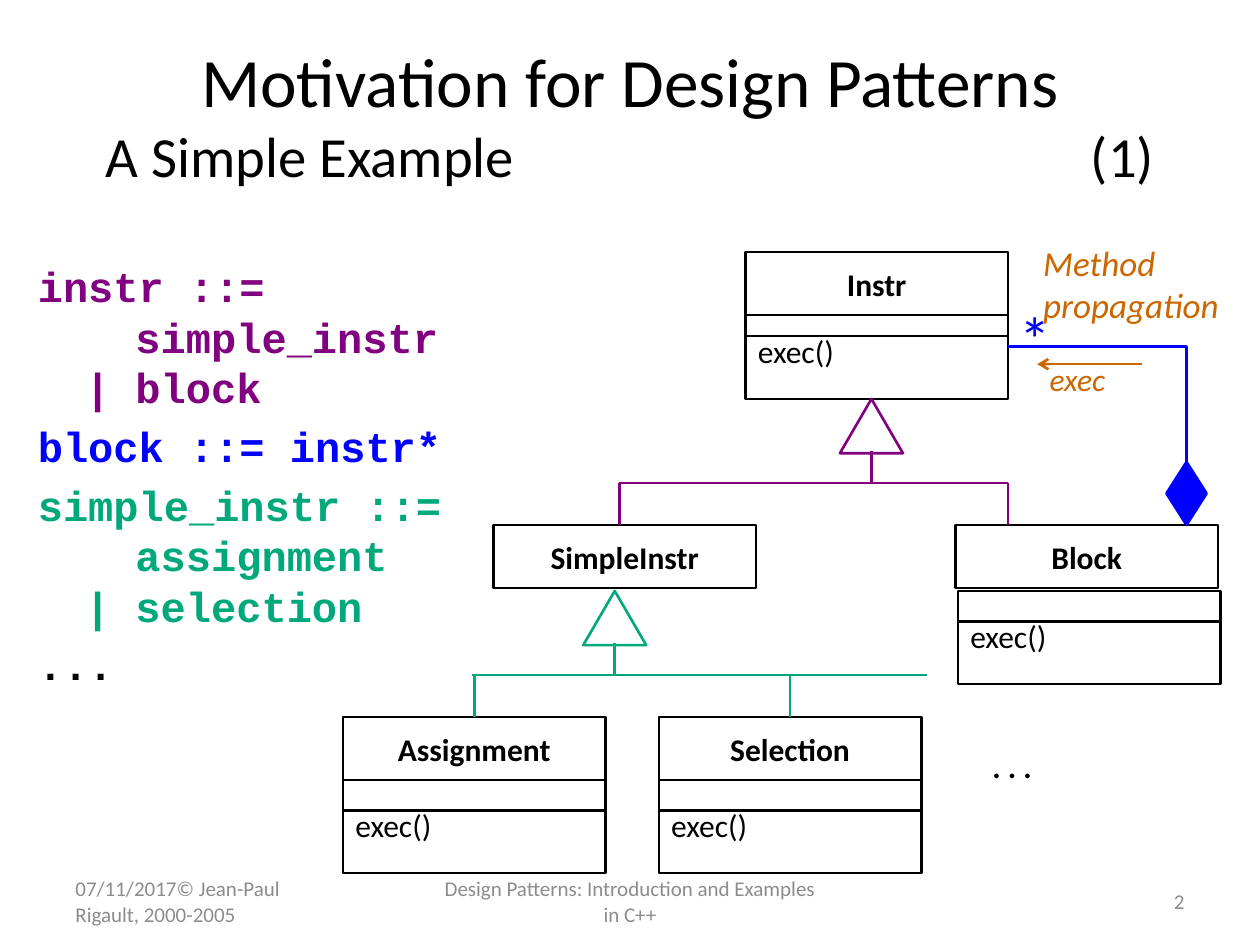
from copy import deepcopy
from dataclasses import dataclass

from pptx import Presentation
from pptx.dml.color import RGBColor as RGB
from pptx.enum.shapes import MSO_CONNECTOR as CONN, MSO_SHAPE as SHAPE
from pptx.enum.text import MSO_ANCHOR as ANCHOR, MSO_AUTO_SIZE as AUTO, PP_ALIGN as ALIGN
from pptx.oxml.ns import qn
from pptx.util import Pt


@dataclass(frozen=True)
class Theme:
    """Colours, fonts and type sizes of the slide."""
    ink: str = "000000"
    muted: str = "8C8C8C"
    rule: str = "800080"
    link: str = "0000FF"
    simple: str = "00A87C"
    note: str = "CC6600"
    sans: str = "Calibri"
    mono: str = "Courier New"
    title: float = 39.6
    subtitle: float = 32.4
    star: float = 36
    code: float = 24
    remark: float = 20
    label: float = 18
    small: float = 12
    line: float = 1.5


@dataclass(frozen=True)
class Box:
    """A rectangle in points."""
    x: float
    y: float
    w: float
    h: float

    def at(self, dx, dy, w, h):
        """Return a box offset from this one's corner."""
        return Box(self.x + dx, self.y + dy, w, h)

    def emu(self):
        """Return left, top, width and height as lengths."""
        return [Pt(v) for v in (self.x, self.y, self.w, self.h)]


T = Theme()


def set_all(obj, fmt):
    """Set every attribute named in a dict."""
    for name, value in fmt.items():
        setattr(obj, name, value)


def style_runs(p, size, color=T.ink, name=T.sans, **fmt):
    """Format the runs and line breaks of a paragraph."""
    for r in p.runs:
        set_all(r.font, dict(size=Pt(size), name=name, **fmt))
        r.font.color.rgb = RGB.from_string(color)
    for br in p._p.findall(qn("a:br")):
        br.append(deepcopy(p.runs[0]._r.rPr))


def write(sp, text, size, color=T.ink, frame=None, para=None, **fmt):
    """Write one formatted paragraph into a shape."""
    tf = sp.text_frame
    set_all(tf, frame or {})
    p = tf.paragraphs[0]
    p.text = text
    set_all(p, para or {})
    style_runs(p, size, color, **fmt)


def label(s, box, text, size, color=T.ink, frame=None, para=None, **fmt):
    """Add a text box, unwrapped unless told otherwise."""
    sp = s.shapes.add_textbox(*box.emu())
    write(sp, text, size, color, {"word_wrap": False, **(frame or {})}, para, **fmt)


def outline(sp, color, fill=None):
    """Give a shape its line and fill, without shadow."""
    sp.shadow.inherit = False
    sp.line.color.rgb = RGB.from_string(color)
    sp.line.width = Pt(T.line)
    if fill:
        sp.fill.solid()
        sp.fill.fore_color.rgb = RGB.from_string(fill)
    else:
        sp.fill.background()
    return sp


def shape(s, kind, box, color=T.ink, fill=None):
    """Add an outlined preset shape."""
    return outline(s.shapes.add_shape(kind, *box.emu()), color, fill)


def line(s, x1, y1, x2, y2, color, arrow=False):
    """Add a straight connector, with an arrowhead at its end if asked."""
    c = s.shapes.add_connector(CONN.STRAIGHT, Pt(x1), Pt(y1), Pt(x2), Pt(y2))
    c.line.color.rgb = RGB.from_string(color)
    c.line.width = Pt(T.line)
    if arrow:
        ln = c.line._get_or_add_ln()
        ln.append(ln.makeelement(qn("a:tailEnd"), {"type": "arrow"}))
    sp_pr = c._element.spPr
    sp_pr.append(sp_pr.makeelement(qn("a:effectLst"), {}))
    return c


def heading(s, box):
    """Fill the title placeholder with the two title lines."""
    sp = s.shapes.title
    sp.left, sp.top, sp.width, sp.height = box.emu()
    write(sp, "Motivation for Design Patterns\nA Simple Example\t(1)", T.title,
          frame=dict(vertical_anchor=ANCHOR.BOTTOM, auto_size=AUTO.NONE),
          para=dict(alignment=ALIGN.CENTER))
    p = sp.text_frame.paragraphs[0]
    p.runs[1].font.size = Pt(T.subtitle)
    p_pr = p._p.get_or_add_pPr()
    tabs = p_pr.makeelement(qn("a:tabLst"), {})
    tabs.append(tabs.makeelement(qn("a:tab"), {"pos": str(Pt(599)), "algn": "r"}))
    p_pr.append(tabs)


def grammar(s, box):
    """Fill the body placeholder with the grammar rules."""
    sp = s.placeholders[1]
    sp.left, sp.top, sp.width, sp.height = box.emu()
    tf = sp.text_frame
    tf.auto_size = AUTO.NONE
    rules = [("instr ::=\n  simple_instr\n| block", T.rule),
             ("block ::= instr*", T.link),
             ("simple_instr ::=\n  assignment\n| selection", T.simple),
             ("...", T.ink)]
    for i, (text, color) in enumerate(rules):
        p = tf.add_paragraph() if i else tf.paragraphs[0]
        p.text = text
        p.space_before = Pt(T.code * 0.2)
        p_pr = p._p.get_or_add_pPr()
        p_pr.set("marL", str(Pt(27)))
        p_pr.set("indent", str(-Pt(27)))
        p_pr.append(p_pr.makeelement(qn("a:buNone"), {}))
        style_runs(p, T.code, color, T.mono, bold=True)


def class_box(s, box, name, attrs=None, dx=0, dy=0):
    """Draw a class header and, if attrs is a height, its lower compartments."""
    head = shape(s, SHAPE.RECTANGLE, box)
    write(head, name, T.label, frame=dict(vertical_anchor=ANCHOR.MIDDLE),
          para=dict(alignment=ALIGN.CENTER), bold=True)
    if attrs:
        lower = box.at(dx, box.h + dy, box.w, attrs)
        shape(s, SHAPE.RECTANGLE, lower)
        methods = shape(s, SHAPE.RECTANGLE, lower.at(0, attrs, box.w, box.h))
        write(methods, "exec()", T.label, frame=dict(vertical_anchor=ANCHOR.TOP),
              para=dict(alignment=ALIGN.LEFT, line_spacing=0.7, space_before=Pt(3.6)))
    return head


def inheritance(s, box, apex, drops, color):
    """Draw a triangle, its stem, a bar and a drop to each (x, joined class)."""
    bar = box.y + 48
    shape(s, SHAPE.ISOSCELES_TRIANGLE, Box(apex - 18, box.y, 36, 31), color)
    line(s, apex, box.y + 30, apex, bar, color)
    line(s, box.x, bar, box.x + box.w, bar, color)
    for x, child in drops:
        drop = line(s, x, bar, x, box.y + box.h, color)
        if child:
            drop.end_connect(child, 0)


def composition(s, box):
    """Draw the bent link with its diamond and multiplicity."""
    right = box.x + box.w
    diamond = shape(s, SHAPE.DIAMOND, Box(right - 18, box.y + box.h - 29.5, 36, 23),
                    T.link, T.link)
    diamond.rotation = 90
    fb = s.shapes.build_freeform(Pt(right), Pt(box.y + box.h - 36))
    fb.add_line_segments([(Pt(right), Pt(box.y)), (Pt(box.x), Pt(box.y))], close=False)
    outline(fb.convert_to_shape(), T.link)
    label(s, box.at(-0.7, -30.2, 29, 51), "*", T.star, T.link)


def propagation(s, box):
    """Draw the method propagation note and its arrow."""
    label(s, box.at(0, 0, 126, 56), "Method\npropagation", T.remark, T.note, italic=True)
    y = box.y + 73.5
    line(s, box.x + 63.5, y, box.x + 3.7, y, T.note, arrow=True)
    label(s, box.at(3.7, 67.5, 57, 30), "exec", T.label, T.note, italic=True)


def diagram(s, box):
    """Draw the whole class diagram."""
    class_box(s, box.at(230, 0, 150, 36), "Instr", 12)
    class_box(s, box.at(86, 156, 150, 36), "SimpleInstr")
    class_box(s, box.at(350, 156, 150, 36), "Block", 17.3, 1.4, 1.7)
    leaves = [class_box(s, box.at(dx, 265.7, 150, 36), name, 17.3)
              for dx, name in ((0, "Assignment"), (180.5, "Selection"))]
    x = box.x
    inheritance(s, box.at(158, 84, 222, 72), x + 302,
                [(x + 158, None), (x + 380, None)], T.rule)
    inheritance(s, box.at(73.5, 193.7, 260.5, 72), x + 155.3,
                zip((x + 75, x + 255.5), leaves), T.simple)
    label(s, box.at(364, 279.5, 49, 41), ". . .", T.label, bold=True)
    composition(s, box.at(380, 54, 102, 102))
    propagation(s, box.at(393, -9.4, 126, 98))


def footer(s, box):
    """Write the date, deck name and slide number."""
    parts = [(0, 168, "07/11/2017© Jean-Paul Rigault, 2000-2005", ALIGN.LEFT),
             (210, 228, "Design Patterns: Introduction and Examples in C++", ALIGN.CENTER),
             (480, 168, "2", ALIGN.RIGHT)]
    for dx, w, text, align in parts:
        label(s, box.at(dx, 0, w, box.h), text, T.small, T.muted,
              dict(word_wrap=True, vertical_anchor=ANCHOR.MIDDLE), dict(alignment=align))


def main():
    """Build and save the slide."""
    prs = Presentation()
    prs.slide_width, prs.slide_height = Pt(720), Pt(540)
    s = prs.slides.add_slide(prs.slide_layouts[1])
    heading(s, Box(36, 21.6, 648, 90))
    grammar(s, Box(14.4, 145.5, 251.3, 268))
    diagram(s, Box(196, 144, 510, 356))
    footer(s, Box(36, 500.5, 648, 28.8))
    prs.save("out.pptx")


if __name__ == "__main__":
    main()
